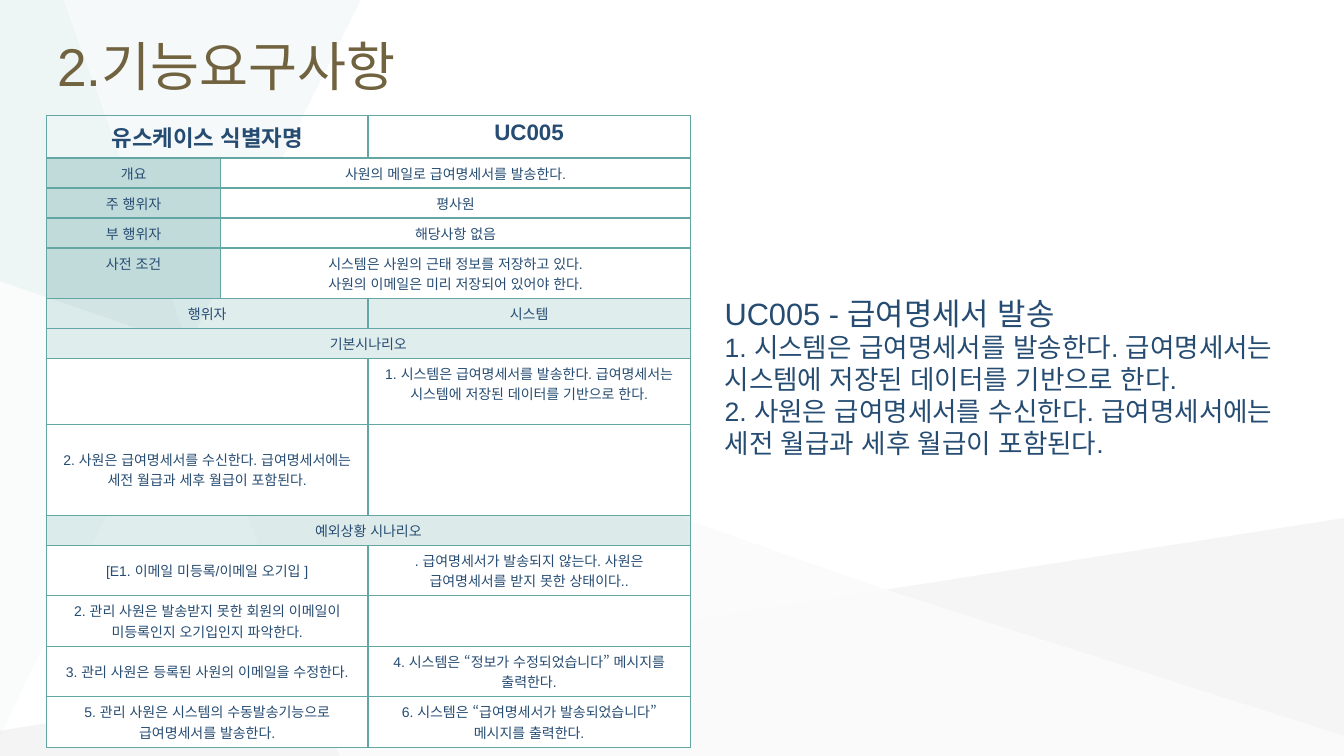
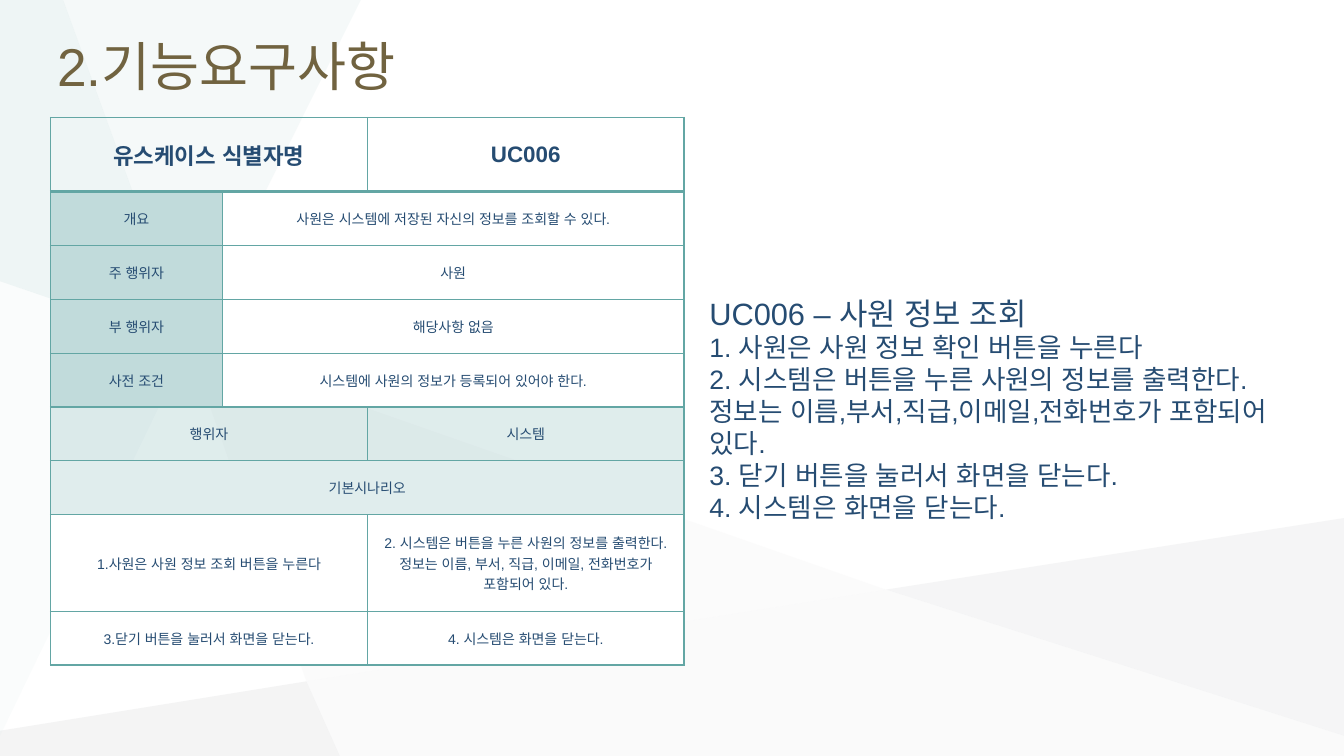
"""Builds two use-case slides, each with a scenario table and a summary."""
from dataclasses import dataclass
from enum import Enum

from lxml.etree import SubElement
from pptx import Presentation
from pptx.dml.color import RGBColor as Rgb
from pptx.enum.lang import MSO_LANGUAGE_ID as Lang
from pptx.enum.text import MSO_ANCHOR as Anchor, MSO_AUTO_SIZE as Fit, PP_ALIGN as Align
from pptx.oxml import parse_xml
from pptx.oxml.ns import nsdecls, qn
from pptx.util import Inches, Pt

WIDE, HIGH = Inches(13.33), Inches(7.5)


@dataclass(frozen=True)
class Tint:
    hue: str
    alpha: int = 100


@dataclass(frozen=True)
class Theme:
    font: str = "Arial"
    gold: str = "716340"
    navy: str = "264C72"
    teal: str = "63A6A4"
    title: int = 38
    lead: int = 22
    body: int = 19
    head: int = 16
    cell: int = 10


@dataclass(frozen=True)
class Box:
    left: float
    top: float
    wide: float
    high: float

    def emu(self) -> tuple:
        return across(self.left), down(self.top), across(self.wide), down(self.high)


@dataclass(frozen=True)
class Facet:
    tint: Tint
    spots: tuple


LOOK = Theme()
WHITE, MINT, PALE = Tint("FFFFFF"), Tint("C1DBDB"), Tint("E0EDED")
VEIL = Tint(LOOK.teal, 20)
LOW, PAIR, TALL = 3.97, 6.68, 7.13


class Kind(Enum):
    """Cells of a row, each as first column, last column and fill."""
    HEAD = ((0, 1, None), (2, 2, None))
    FIELD = ((0, 0, MINT), (1, 2, WHITE))
    ROLES = ((0, 1, VEIL), (2, 2, VEIL))
    BASIC = ((0, 2, PALE),)
    OTHER = ((0, 2, VEIL),)
    STEP = ((0, 1, WHITE), (2, 2, WHITE))


@dataclass(frozen=True)
class Row:
    kind: Kind
    high: float
    texts: tuple


@dataclass(frozen=True)
class Case:
    left: float
    top: float
    cols: tuple
    rows: tuple
    raised: int
    note: Box
    lines: tuple


HUB, KNEE, TIP, FOOT = (65.93, 78), (22.8, 90.13), (14.03, 45.73), (25.28, 100)
SIDE, EDGE, PEAK = (0, 37.2), (100, 97.33), (4.7, 0)
FACETS = (
    Facet(Tint("F3F2F2", 26), (TIP, KNEE, HUB)),
    Facet(Tint("B6B8BA", 15), (KNEE, (0, 96.67), (0, 100), FOOT)),
    Facet(Tint("E0EDED", 31), ((26.85, 0), PEAK, TIP)),
    Facet(Tint("C6C8CA", 17), ((100, 68.53), HUB, EDGE)),
    Facet(Tint("B6B8BA", 6), (HUB, KNEE, FOOT, (100, 100), EDGE)),
    Facet(Tint("C1DBDB", 27), (PEAK, (0, 0), SIDE, TIP)),
    Facet(Tint("C1DBDB", 8), (SIDE, (0, 97.33), TIP)),
)
TITLE = Box(3.53, 1.75, 92.7, 13.73)

CASES = (
    Case(3.45, 15.25, (12.98, 10.95, 23.98), (
        Row(Kind.HEAD, 5.65, ("유스케이스 식별자명", "UC005")),
        Row(Kind.FIELD, LOW, ("개요", "사원의 메일로 급여명세서를 발송한다.")),
        Row(Kind.FIELD, LOW, ("주 행위자", "평사원")),
        Row(Kind.FIELD, LOW, ("부 행위자", "해당사항 없음")),
        Row(Kind.FIELD, PAIR, ("사전 조건", "시스템은 사원의 근태 정보를 저장하고 있다.\n"
                               "사원의 이메일은 미리 저장되어 있어야 한다.")),
        Row(Kind.ROLES, LOW, ("행위자", "시스템")),
        Row(Kind.BASIC, LOW, ("기본시나리오",)),
        Row(Kind.STEP, 8.7, ("", "1. 시스템은 급여명세서를 발송한다. 급여명세서는 "
                             "시스템에 저장된 데이터를 기반으로 한다.")),
        Row(Kind.STEP, 12.05, ("2. 사원은 급여명세서를 수신한다. 급여명세서에는 "
                               "세전 월급과 세후 월급이 포함된다.", "")),
        Row(Kind.OTHER, LOW, ("예외상황 시나리오",)),
        Row(Kind.STEP, PAIR, ("[E1. 이메일 미등록/이메일 오기입 ]",
                              ". 급여명세서가 발송되지 않는다. 사원은 "
                              "급여명세서를 받지 못한 상태이다..")),
        Row(Kind.STEP, PAIR, ("2. 관리 사원은 발송받지 못한 회원의 이메일이 "
                              "미등록인지 오기입인지 파악한다.", "")),
        Row(Kind.STEP, PAIR, ("3. 관리 사원은 등록된 사원의 이메일을 수정한다.",
                              "4. 시스템은 “정보가 수정되었습니다” 메시지를 출력한다.")),
        Row(Kind.STEP, PAIR, ("5. 관리 사원은 시스템의 수동발송기능으로 급여명세서를 발송한다.",
                              "6. 시스템은 “급여명세서가 발송되었습니다” 메시지를 출력한다.")),
    ), 8, Box(53.18, 38.27, 43.35, 23.33), (
        "UC005 - 급여명세서 발송",
        "1. 시스템은 급여명세서를 발송한다. 급여명세서는 시스템에 저장된 데이터를 기반으로 한다.",
        "2. 사원은 급여명세서를 수신한다. 급여명세서에는 세전 월급과 세후 월급이 포함된다.",
    )),
    Case(3.75, 15.53, (12.8, 10.8, 23.55), (
        Row(Kind.HEAD, 9.8, ("유스케이스 식별자명", "UC006")),
        Row(Kind.FIELD, TALL, ("개요", "사원은 시스템에 저장된 자신의 정보를 조회할 수 있다.")),
        Row(Kind.FIELD, TALL, ("주 행위자", "사원")),
        Row(Kind.FIELD, TALL, ("부 행위자", "해당사항 없음")),
        Row(Kind.FIELD, TALL, ("사전 조건", "시스템에 사원의 정보가 등록되어 있어야 한다.")),
        Row(Kind.ROLES, TALL, ("행위자", "시스템")),
        Row(Kind.BASIC, TALL, ("기본시나리오",)),
        Row(Kind.STEP, 12.75, ("1.사원은 사원 정보 조회 버튼을 누른다",
                               "2. 시스템은 버튼을 누른 사원의 정보를 출력한다.\n"
                               "정보는 이름, 부서, 직급, 이메일, 전화번호가 포함되어 있다.")),
        Row(Kind.STEP, TALL, ("3.닫기 버튼을 눌러서 화면을 닫는다.", "4. 시스템은 화면을 닫는다.")),
    ), 0, Box(52.05, 38.27, 46.43, 27.6), (
        "UC006 – 사원 정보 조회",
        "1. 사원은 사원 정보 확인 버튼을 누른다",
        "2. 시스템은 버튼을 누른 사원의 정보를 출력한다.정보는 "
        "이름,부서,직급,이메일,전화번호가 포함되어 있다.",
        "3. 닫기 버튼을 눌러서 화면을 닫는다.",
        "4. 시스템은 화면을 닫는다.",
    )),
)


def across(part: float) -> int:
    """Turn a percentage of the slide's width into a length."""
    return round(WIDE * part / 100)


def down(part: float) -> int:
    """Turn a percentage of the slide's height into a length."""
    return round(HIGH * part / 100)


def paint(fill, node, tint: Tint) -> None:
    """Fill with a colour and, when it is see-through, its alpha."""
    fill.solid()
    fill.fore_color.rgb = Rgb.from_string(tint.hue)
    if tint.alpha < 100:
        hue = node.find(qn("a:solidFill")).find(qn("a:srgbClr"))
        SubElement(hue, qn("a:alpha"), val=str(tint.alpha * 1000))


def style(para, size: int, hue: str, bold: bool = False) -> None:
    """Set the font of a paragraph."""
    font = para.font
    font.name, font.size, font.bold = LOOK.font, Pt(size), bold
    font.language_id = Lang.KOREAN
    font.color.rgb = Rgb.from_string(hue)


def facet(slide, item: Facet) -> None:
    """Draw one see-through background polygon."""
    spots = [(across(x), down(y)) for x, y in item.spots]
    pen = slide.shapes.build_freeform(*spots[0])
    pen.add_line_segments(spots[1:], close=True)
    shape = pen.convert_to_shape()
    shape.shadow.inherit = False
    shape.line.fill.background()
    paint(shape.fill, shape.element.spPr, item.tint)


def write(slide, box: Box, text: str):
    """Add a wrapping text box and return its frame."""
    frame = slide.shapes.add_textbox(*box.emu()).text_frame
    frame.word_wrap = True
    frame.text = text
    return frame


def title(slide) -> None:
    """Add the shared slide title."""
    frame = write(slide, TITLE, "2.기능요구사항")
    frame.vertical_anchor = Anchor.MIDDLE
    style(frame.paragraphs[0], LOOK.title, LOOK.gold)


def note(slide, case: Case) -> None:
    """Add the summary beside the table."""
    frame = write(slide, case.note, "\n".join(case.lines))
    frame.auto_size = Fit.SHAPE_TO_FIT_TEXT
    for at, para in enumerate(frame.paragraphs):
        style(para, LOOK.body if at else LOOK.lead, LOOK.navy)


def border(cell, row: int) -> None:
    """Rule all sides of a cell, heavier under the head row."""
    heavy = {0: "B", 1: "T"}.get(row)
    props = cell._tc.get_or_add_tcPr()
    for at, side in enumerate("LRTB"):
        width = Pt(2 if side == heavy else 1)
        props.insert(at, parse_xml(
            f'<a:ln{side} {nsdecls("a")} w="{width}"><a:solidFill>'
            f'<a:srgbClr val="{LOOK.teal}"/></a:solidFill></a:ln{side}>'))


def table(slide, case: Case) -> None:
    """Draw the use-case table."""
    box = Box(case.left, case.top, sum(case.cols), sum(row.high for row in case.rows))
    grid = slide.shapes.add_table(len(case.rows), len(case.cols), *box.emu()).table
    grid.first_row = grid.horz_banding = False
    for col, wide in zip(grid.columns, case.cols):
        col.width = across(wide)
    for at, row in enumerate(case.rows):
        grid.rows[at].height = down(row.high)
        for (first, last, tint), text in zip(row.kind.value, row.texts):
            cell = grid.cell(at, first)
            if last > first:
                cell.merge(grid.cell(at, last))
            cell.text = text
            cell.vertical_anchor = Anchor.TOP if at < case.raised else Anchor.MIDDLE
            head = row.kind is Kind.HEAD
            for para in cell.text_frame.paragraphs:
                para.alignment = Align.CENTER
                style(para, LOOK.head if head else LOOK.cell, LOOK.navy, head)
            if tint:
                paint(cell.fill, cell._tc.tcPr, tint)
            else:
                cell.fill.background()
        for col in range(len(case.cols)):
            border(grid.cell(at, col), at)


def main() -> None:
    """Build and save the deck."""
    deck = Presentation()
    deck.slide_width, deck.slide_height = WIDE, HIGH
    for case in CASES:
        slide = deck.slides.add_slide(deck.slide_layouts[6])
        for item in FACETS:
            facet(slide, item)
        title(slide)
        table(slide, case)
        note(slide, case)
    deck.save("out.pptx")


if __name__ == "__main__":
    main()
